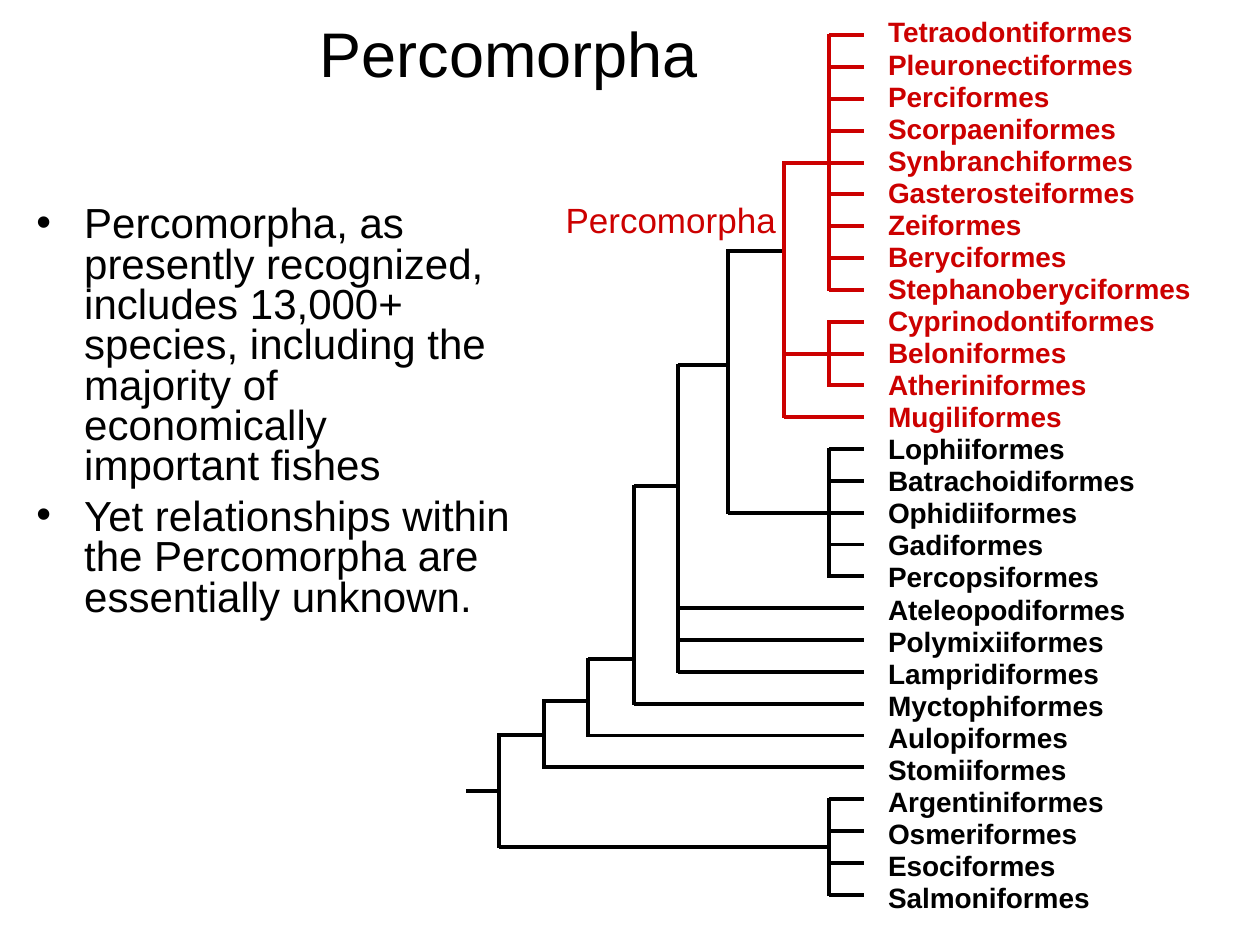
from lxml import etree
from pptx import Presentation
from pptx import util as u
from pptx.dml import color
from pptx.enum import shapes, text
from pptx.oxml import ns

HUES = {"red": "CC0000", "black": "000000"}

deck = Presentation()
deck.slide_width, deck.slide_height = u.Inches(10), u.Inches(7.5)
slide = deck.slides.add_slide(deck.slide_layouts[6])


def write(words, left, top, width, height, size, hue="black", bold=False,
          wrap=False, align=text.PP_ALIGN.LEFT, anchor=text.MSO_ANCHOR.TOP,
          bullet=False):
    box = slide.shapes.add_textbox(*map(u.Inches, (left, top, width, height)))
    frame = box.text_frame
    frame.word_wrap = wrap
    frame.vertical_anchor = anchor
    for n, line in enumerate(words.split("\n")):
        para = frame.paragraphs[0] if n == 0 else frame.add_paragraph()
        para.alignment = align
        if bullet:
            props = para._p.get_or_add_pPr()
            props.set("marL", str(u.Inches(0.38)))
            props.set("indent", str(u.Inches(-0.38)))
            etree.SubElement(props, ns.qn("a:buFont")).set("typeface", "Arial")
            etree.SubElement(props, ns.qn("a:buChar")).set("char", "•")
            para.line_spacing = 0.8
            para.space_before = u.Pt(6 if n else 0)
        run = para.add_run()
        run.text = line
        run.font.name, run.font.size, run.font.bold = "Arial", u.Pt(size), bold
        run.font.color.rgb = color.RGBColor.from_string(HUES[hue])


def draw(x1, y1, x2, y2, hue="black"):
    line = slide.shapes.add_connector(
        shapes.MSO_CONNECTOR.STRAIGHT, *map(u.Inches, (x1, y1, x2, y2)))
    line.line.width = u.Pt(2.25)
    line.line.color.rgb = color.RGBColor.from_string(HUES[hue])
    etree.SubElement(line._element.spPr, ns.qn("a:effectLst"))


# Each order with the x where its branch starts
orders = [
    ("Tetraodontiformes", 6.58), ("Pleuronectiformes", 6.58),
    ("Perciformes", 6.58), ("Scorpaeniformes", 6.58),
    ("Synbranchiformes", 6.22), ("Gasterosteiformes", 6.58),
    ("Zeiformes", 6.58), ("Beryciformes", 6.58),
    ("Stephanoberyciformes", 6.58), ("Cyprinodontiformes", 6.58),
    ("Beloniformes", 6.22), ("Atheriniformes", 6.58),
    ("Mugiliformes", 6.22), ("Lophiiformes", 6.58),
    ("Batrachoidiformes", 6.58), ("Ophidiiformes", 5.78),
    ("Gadiformes", 6.58), ("Percopsiformes", 6.58),
    ("Ateleopodiformes", 5.38), ("Polymixiiformes", 5.38),
    ("Lampridiformes", 5.38), ("Myctophiformes", 5.03),
    ("Aulopiformes", 4.67), ("Stomiiformes", 4.32),
    ("Argentiniformes", 6.58), ("Osmeriformes", 6.58),
    ("Esociformes", 6.58), ("Salmoniformes", 6.58),
]
last = len(orders) - 1
tips = [0.28 + n * (7.1 - 0.28) / last for n in range(len(orders))]
reds = 13

for n, (name, x) in enumerate(orders):
    hue = "red" if n < reds else "black"
    draw(x, tips[n], 6.86, tips[n], hue)
    write(name, 6.95, 0.07 + n * (6.94 - 0.07) / last, 2.6, 0.37, 16,
          hue=hue, bold=True)

stems = [
    (5.78, 6.21, 1.99), (5.38, 5.78, 2.9), (5.03, 5.38, 3.86),
    (4.67, 5.03, 5.23), (4.32, 4.67, 5.56), (3.96, 4.32, 5.83),
    (3.7, 3.96, 6.28), (3.96, 6.58, 6.72),
]
for x1, x2, y in stems:
    draw(x1, y, x2, y)

nodes = [
    (6.58, tips[0], tips[8], "red"), (6.58, tips[9], tips[11], "red"),
    (6.22, tips[4], tips[12], "red"), (6.58, tips[13], tips[17], "black"),
    (6.58, tips[24], tips[27], "black"), (5.78, 1.99, tips[15], "black"),
    (5.38, 2.9, tips[20], "black"), (5.03, 3.86, tips[21], "black"),
    (4.67, 5.23, tips[22], "black"), (4.32, 5.56, tips[23], "black"),
    (3.96, 5.83, 6.72, "black"),
]
for x, top, low, hue in nodes:
    draw(x, top - 0.01, x, low + 0.01, hue)

write("Percomorpha", 0.26, 0, 7.56, 0.83, 36, wrap=True,
      align=text.PP_ALIGN.CENTER, anchor=text.MSO_ANCHOR.MIDDLE)
write("Percomorpha, as presently recognized, includes 13,000+ species, "
      "including the majority of economically important fishes\n"
      "Yet relationships within the Percomorpha are essentially unknown.",
      0.19, 1.59, 3.97, 5.64, 24, wrap=True, bullet=True)
write("Percomorpha", 4.39, 1.53, 1.87, 0.44, 20, hue="red")

deck.save("out.pptx")
